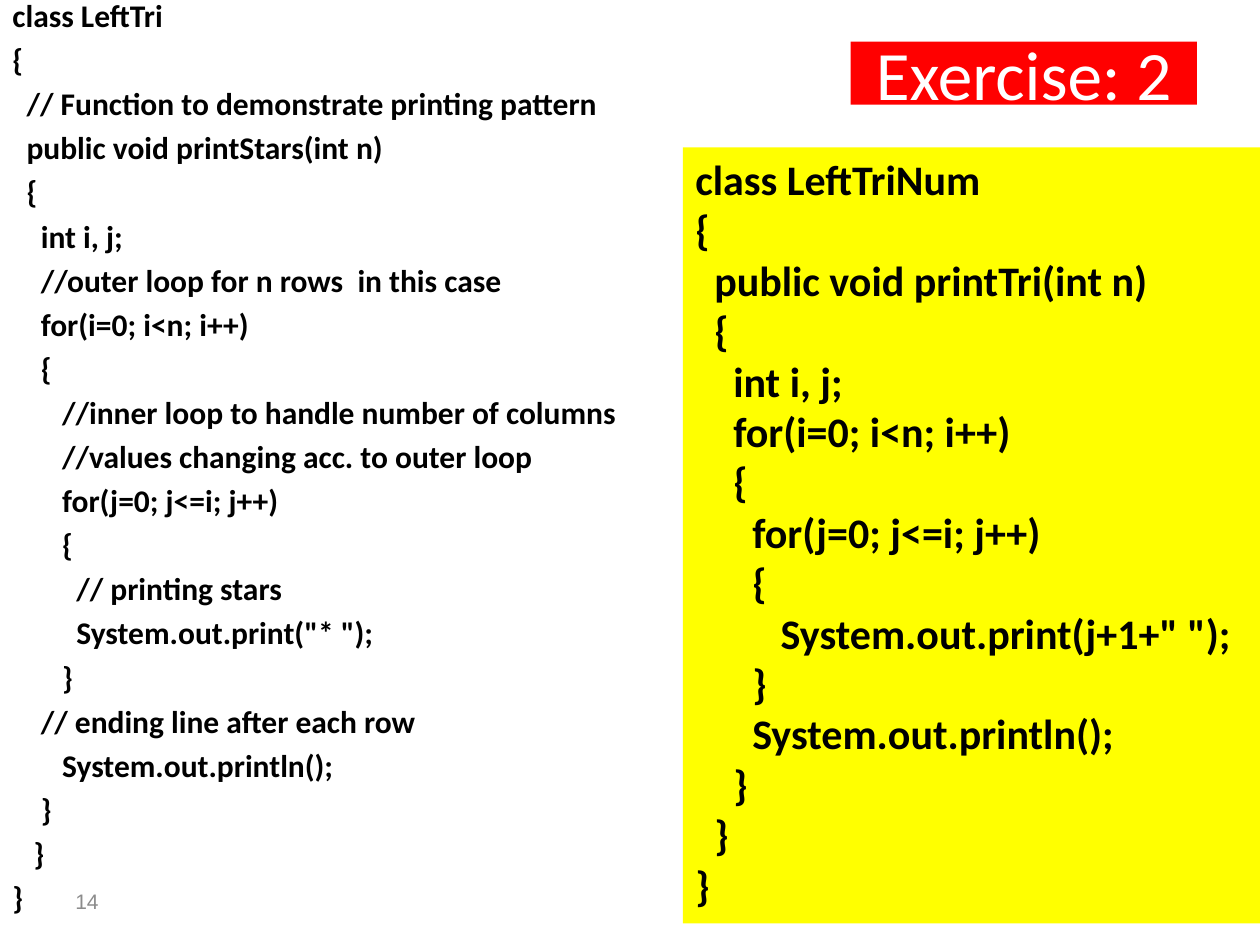
from pptx import Presentation
from pptx import util as u
from pptx.dml.color import RGBColor
from pptx.enum import text

BLACK = RGBColor(0x00, 0x00, 0x00)
WHITE = RGBColor(0xFF, 0xFF, 0xFF)
GRAY = RGBColor(0x8C, 0x8C, 0x8C)
RED = RGBColor(0xFF, 0x00, 0x00)
YELLOW = RGBColor(0xFF, 0xFF, 0x00)

STARS_CODE = """class LeftTri
{
  // Function to demonstrate printing pattern
  public void printStars(int n)
  {
    int i, j;
    //outer loop for n rows  in this case
    for(i=0; i<n; i++)
    {
       //inner loop to handle number of columns
       //values changing acc. to outer loop
       for(j=0; j<=i; j++)
       {
         // printing stars
         System.out.print("* ");
       }
    // ending line after each row
       System.out.println();
    }
   }
}"""

NUMBERS_CODE = """class LeftTriNum
{
  public void printTri(int n)
  {
    int i, j;
    for(i=0; i<n; i++)
    {
      for(j=0; j<=i; j++)
      {
         System.out.print(j+1+" ");
      }
      System.out.println();
    }
  }
}"""


class CodeSlide:
    """Builds a slide of code listings in one style."""

    def __init__(self, presentation):
        self.font = "Calibri"
        self.slide = presentation.slides.add_slide(presentation.slide_layouts[5])

    def set_text(self, shape, content, size, color, bold=False, font=None,
                 align=text.PP_ALIGN.LEFT, anchor=text.MSO_ANCHOR.TOP, before=0):
        frame = shape.text_frame
        frame.text = content
        frame.word_wrap = True
        frame.auto_size = text.MSO_AUTO_SIZE.NONE
        frame.vertical_anchor = anchor
        for paragraph in frame.paragraphs:
            paragraph.alignment = align
            paragraph.space_before = u.Pt(before)
            for run in paragraph.runs:
                run.font.name = font or self.font
                run.font.size = u.Pt(size)
                run.font.bold = bold
                run.font.color.rgb = color

    def set_fill(self, shape, color):
        shape.fill.solid()
        shape.fill.fore_color.rgb = color

    def title(self, content, left, top, width, height):
        shape = self.slide.shapes.title
        shape.left, shape.top = u.Inches(left), u.Inches(top)
        shape.width, shape.height = u.Inches(width), u.Inches(height)
        self.set_fill(shape, RED)
        self.set_text(shape, content, 39.6, WHITE, align=text.PP_ALIGN.CENTER,
                      anchor=text.MSO_ANCHOR.MIDDLE)

    def box(self, left, top, width, height):
        return self.slide.shapes.add_textbox(
            u.Inches(left), u.Inches(top), u.Inches(width), u.Inches(height))

    def listing(self, code, left, top, width, height, size, before=0, color=None):
        shape = self.box(left, top, width, height)
        if color is not None:
            self.set_fill(shape, color)
        self.set_text(shape, code, size, BLACK, bold=True, before=before)

    def page_number(self, number, left, top, width, height):
        self.set_text(self.box(left, top, width, height), str(number), 12, GRAY,
                      font="Arial", anchor=text.MSO_ANCHOR.MIDDLE)


presentation = Presentation()
presentation.slide_width = u.Inches(10)
presentation.slide_height = u.Inches(7.5)

exercise = CodeSlide(presentation)
exercise.page_number(14, 0.5, 6.95, 2.33, 0.4)
exercise.listing(STARS_CODE, 0, -0.08, 5.42, 6.33, size=18, before=3.6)
exercise.title("Exercise: 2", 6.75, 0.33, 2.75, 0.5)
exercise.listing(NUMBERS_CODE, 5.42, 1.17, 5, 6.16, size=24, color=YELLOW)

presentation.save("out.pptx")
